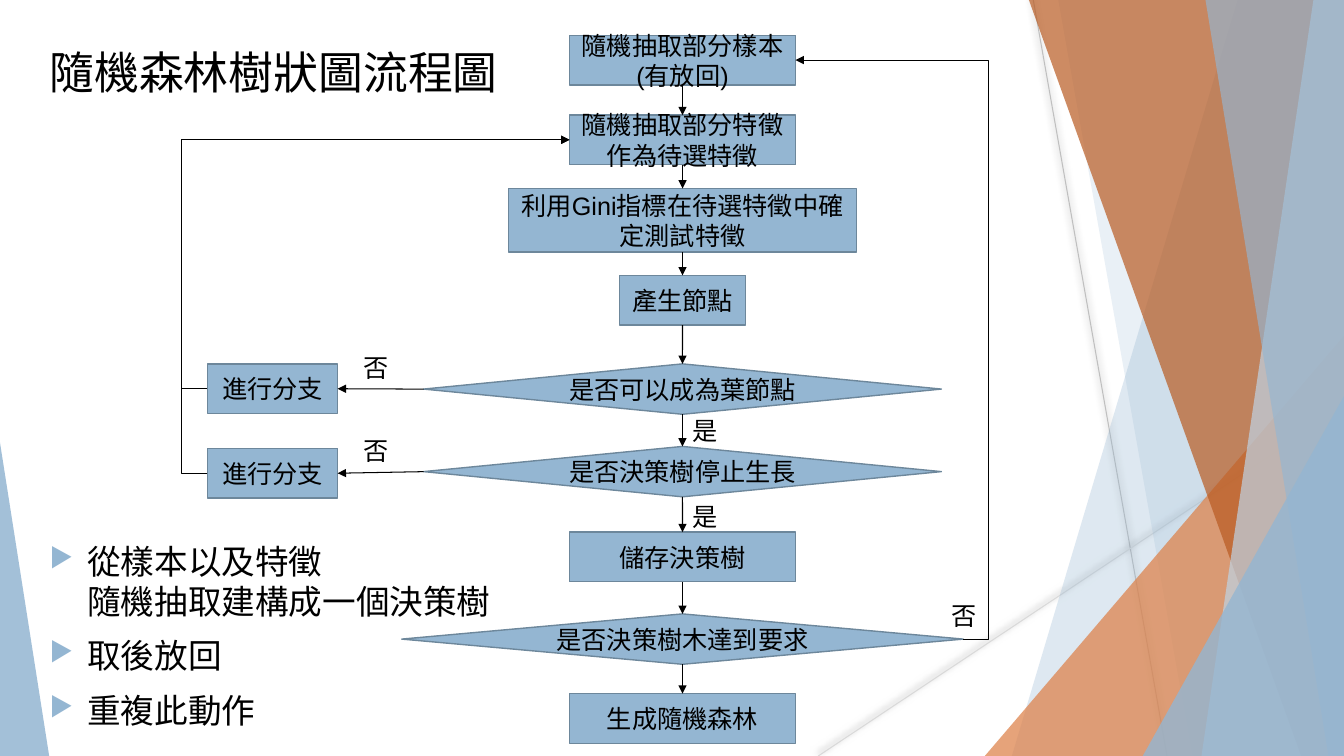
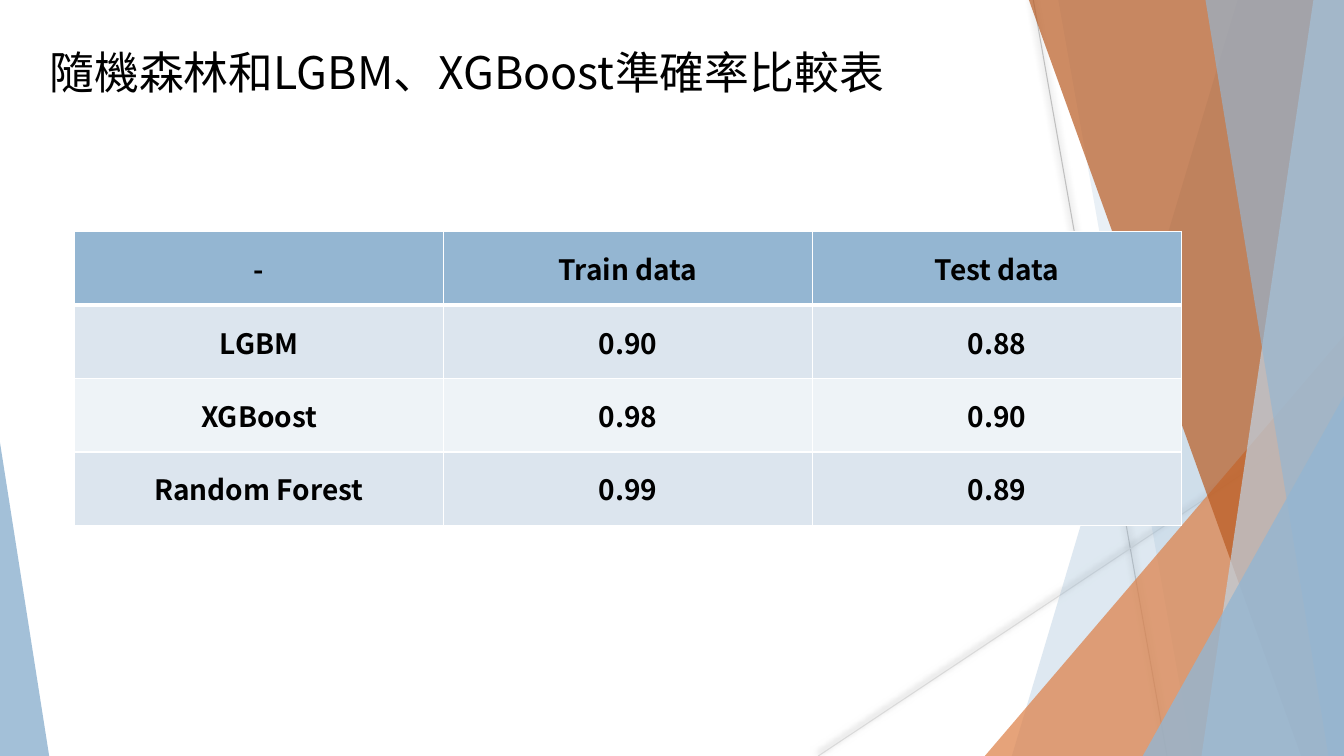
from lxml import etree
from pptx import Presentation
from pptx.dml import color
from pptx.enum import shapes, text
from pptx.oxml import ns
from pptx.util import Cm, Pt

RGB = color.RGBColor
BLUE = RGB(0x94, 0xB6, 0xD2)
PALE = RGB(0xBF, 0xD3, 0xE4)
ORANGE = RGB(0xDD, 0x80, 0x47)
RUST = RGB(0xB9, 0x5B, 0x22)
EDGE = RGB(0x6D, 0x87, 0x9B)
GREY = RGB(0xBF, 0xBF, 0xBF)
SILVER = RGB(0xD9, 0xD9, 0xD9)
BLACK = RGB(0, 0, 0)
WHITE = RGB(0xFF, 0xFF, 0xFF)
ODD = RGB(0xDC, 0xE5, 0xEE)
EVEN = RGB(0xEE, 0xF3, 0xF7)

SANS = "Noto Sans CJK SC"
WIDE, HIGH = 33.87, 19.05
MID = 17.2
TOP, LEFT, BOTTOM, RIGHT = range(4)

KIND = shapes.MSO_SHAPE
LINK = shapes.MSO_CONNECTOR
BOX = KIND.FLOWCHART_PROCESS
TEST = KIND.FLOWCHART_DECISION

STEPS = [
    (BOX, 5.7, 0.89, 1.25, "隨機抽取部分樣本(有放回)"),
    (BOX, 5.7, 2.9, 1.25, "隨機抽取部分特徵作為待選特徵"),
    (BOX, 8.77, 4.75, 1.6, "利用Gini指標在待選特徵中確定測試特徵"),
    (BOX, 3.18, 6.94, 1.25, "產生節點"),
    (TEST, 13.05, 9.17, 1.27, "是否可以成為葉節點"),
    (TEST, 13.05, 11.25, 1.27, "是否決策樹停止生長"),
    (BOX, 5.7, 13.41, 1.25, "儲存決策樹"),
    (TEST, 14.15, 15.47, 1.27, "是否決策樹木達到要求"),
    (BOX, 5.7, 17.48, 1.25, "生成隨機森林"),
]
LABELS = [
    (8.92, 8.76, "否"),
    (8.92, 10.85, "否"),
    (23.72, 15.01, "否"),
    (MID, 10.34, "是"),
    (MID, 12.52, "是"),
]
POINTS = ["從樣本以及特徵\v隨機抽取建構成一個決策樹", "取後放回", "重複此動作"]
SCORES = [
    ("-", "Train data", "Test data"),
    ("LGBM", "0.90", "0.88"),
    ("XGBoost", "0.98", "0.90"),
    ("Random Forest", "0.99", "0.89"),
]


def node(parent, tag, **attrs):
    return etree.SubElement(parent, ns.qn(tag), {k: str(v) for k, v in attrs.items()})


def style(para, size, name, bold=None):
    font = para.font
    font.size, font.name, font.bold = Pt(size), name, bold
    font.color.rgb = BLACK
    base = para._p.pPr.find(ns.qn("a:defRPr"))
    node(base, "a:ea", typeface=name)
    return base


def paint(shape, tone, alpha=100):
    shape.shadow.inherit = False
    shape.fill.solid()
    shape.fill.fore_color.rgb = tone
    shape.line.fill.background()
    if alpha < 100:
        hue = shape._element.spPr.find(".//" + ns.qn("a:srgbClr"))
        node(hue, "a:alpha", val=alpha * 1000)


def band(slide, top, foot, tone, alpha):
    draw = slide.shapes.build_freeform(Cm(top), 0)
    draw.add_line_segments([(Cm(WIDE), 0), (Cm(WIDE), Cm(HIGH)), (Cm(foot), Cm(HIGH))])
    paint(draw.convert_to_shape(), tone, alpha)


def wedge(slide, left, top, width, apex, tone, alpha):
    shape = slide.shapes.add_shape(
        KIND.ISOSCELES_TRIANGLE, Cm(left), Cm(top), Cm(width), Cm(HIGH - top))
    shape.adjustments[0] = apex
    paint(shape, tone, alpha)


def line(slide, kind, ends, tone):
    link = slide.shapes.add_connector(kind, *map(Cm, ends))
    link.line.color.rgb = tone
    link.line.width = Pt(0.75)
    return link, node(link._element.spPr, "a:effectLst")


def ray(slide, ends, tone):
    _, effects = line(slide, LINK.STRAIGHT, ends, tone)
    cast = node(effects, "a:outerShdw", blurRad=Pt(5), dist=Pt(2), dir=245 * 60000)
    node(node(cast, "a:srgbClr", val=BLACK), "a:alpha", val=50000)


def decor(slide):
    ray(slide, (26.04, 0, 29.41, HIGH), GREY)
    ray(slide, (WIDE, 10.24, 20.62, HIGH), SILVER)
    band(slide, 31.19, 25.5, BLUE, 30)
    band(slide, 26.67, 30.05, BLUE, 20)
    wedge(slide, 24.82, 8.46, 9.05, 1, ORANGE, 72)
    band(slide, 25.93, 32.79, RUST, 70)
    band(slide, 33.1, 30.28, PALE, 70)
    band(slide, 30.38, 33.48, BLUE, 65)
    wedge(slide, 28.8, 9.98, 5.07, 1, BLUE, 80)
    wedge(slide, 0, 11.15, 1.24, 0, BLUE, 85)


def note(slide, spot, words, size, name):
    frame = slide.shapes.add_textbox(*map(Cm, spot)).text_frame
    frame.word_wrap = True
    frame.text = words
    style(frame.paragraphs[0], size, name)


def page(deck, title):
    slide = deck.slides.add_slide(deck.slide_layouts[6])
    decor(slide)
    note(slide, (1, 1, 25, 1.62), title, 32, SANS)
    return slide


def step(slide, kind, left, top, width, height, words):
    shape = slide.shapes.add_shape(kind, Cm(left), Cm(top), Cm(width), Cm(height))
    paint(shape, BLUE)
    shape.line.color.rgb = EDGE
    shape.line.width = Pt(1)
    frame = shape.text_frame
    frame.word_wrap = True
    frame.vertical_anchor = text.MSO_ANCHOR.MIDDLE
    frame.text = words
    para = frame.paragraphs[0]
    para.alignment = text.PP_ALIGN.CENTER
    style(para, 18, "Arial")
    return shape


def arrow(slide, start, out, end, into, bend=None):
    kind = LINK.STRAIGHT if bend is None else LINK.ELBOW
    link, _ = line(slide, kind, (0, 0, 1, 1), BLACK)
    link.begin_connect(start, out)
    link.end_connect(end, into)
    node(link.line._get_or_add_ln(), "a:tailEnd", type="triangle")
    if bend is not None:
        span = abs(link.end_x - link.begin_x)
        guides = link._element.spPr.find(".//" + ns.qn("a:avLst"))
        ratio = round(-Cm(bend) / span * 100000)
        node(guides, "a:gd", name="adj1", fmla=f"val {ratio}")


def points(slide, spot, items):
    frame = slide.shapes.add_textbox(*map(Cm, spot)).text_frame
    frame.word_wrap = True
    for i, item in enumerate(items):
        para = frame.add_paragraph() if i else frame.paragraphs[0]
        para.text = item
        para.space_before = Pt(10)
        base = style(para, 24, SANS)
        props = para._p.pPr
        props.set("marL", str(Cm(0.95)))
        props.set("indent", str(-Cm(0.95)))
        tint = node(props, "a:buClr")
        node(tint, "a:srgbClr", val=BLUE)
        size = node(props, "a:buSzPct", val=80000)
        mark = node(props, "a:buChar", char="▶")
        for part in (tint, size, mark):
            base.addprevious(part)


def border(cell, row):
    props = cell._tc.get_or_add_tcPr()
    heavy = {("B", 0), ("T", 1)}
    for side in "LRTB":
        width = 3 if (side, row) in heavy else 1
        edge = node(props, f"a:ln{side}", w=Pt(width))
        node(node(edge, "a:solidFill"), "a:srgbClr", val=WHITE)


def grid(slide, spot, rows):
    table = slide.shapes.add_table(len(rows), len(rows[0]), *map(Cm, spot)).table
    for r, row in enumerate(rows):
        for c, words in enumerate(row):
            cell = table.cell(r, c)
            border(cell, r)
            cell.fill.solid()
            cell.fill.fore_color.rgb = (ODD if r % 2 else EVEN) if r else BLUE
            cell.vertical_anchor = text.MSO_ANCHOR.MIDDLE
            cell.text = words
            para = cell.text_frame.paragraphs[0]
            para.alignment = text.PP_ALIGN.CENTER
            style(para, 20, SANS, True)


def flow(slide):
    chain = [step(slide, kind, MID - width / 2, top, width, height, words)
             for kind, width, top, height, words in STEPS]
    for start, end in zip(chain, chain[1:]):
        arrow(slide, start, BOTTOM, end, TOP)
    for test, top in zip(chain[4:6], (9.17, 11.3)):
        branch = step(slide, BOX, 5.23, top, 3.28, 1.25, "進行分支")
        arrow(slide, test, LEFT, branch, RIGHT)
        arrow(slide, branch, LEFT, chain[1], LEFT, 0.65)
    arrow(slide, chain[7], RIGHT, chain[0], RIGHT, 0.63)
    for left, top, words in LABELS:
        note(slide, (left, top, 1.75, 1.03), words, 18, "Karla")


def main():
    deck = Presentation()
    deck.slide_width, deck.slide_height = Cm(WIDE), Cm(HIGH)
    slide = page(deck, "隨機森林樹狀圖流程圖")
    points(slide, (1, 13.5, 17.73, 5.08), POINTS)
    flow(slide)
    slide = page(deck, "隨機森林和LGBM、XGBoost準確率比較表")
    grid(slide, (1.88, 5.84, 27.9, 7.4), SCORES)
    deck.save("out.pptx")


if __name__ == "__main__":
    main()
